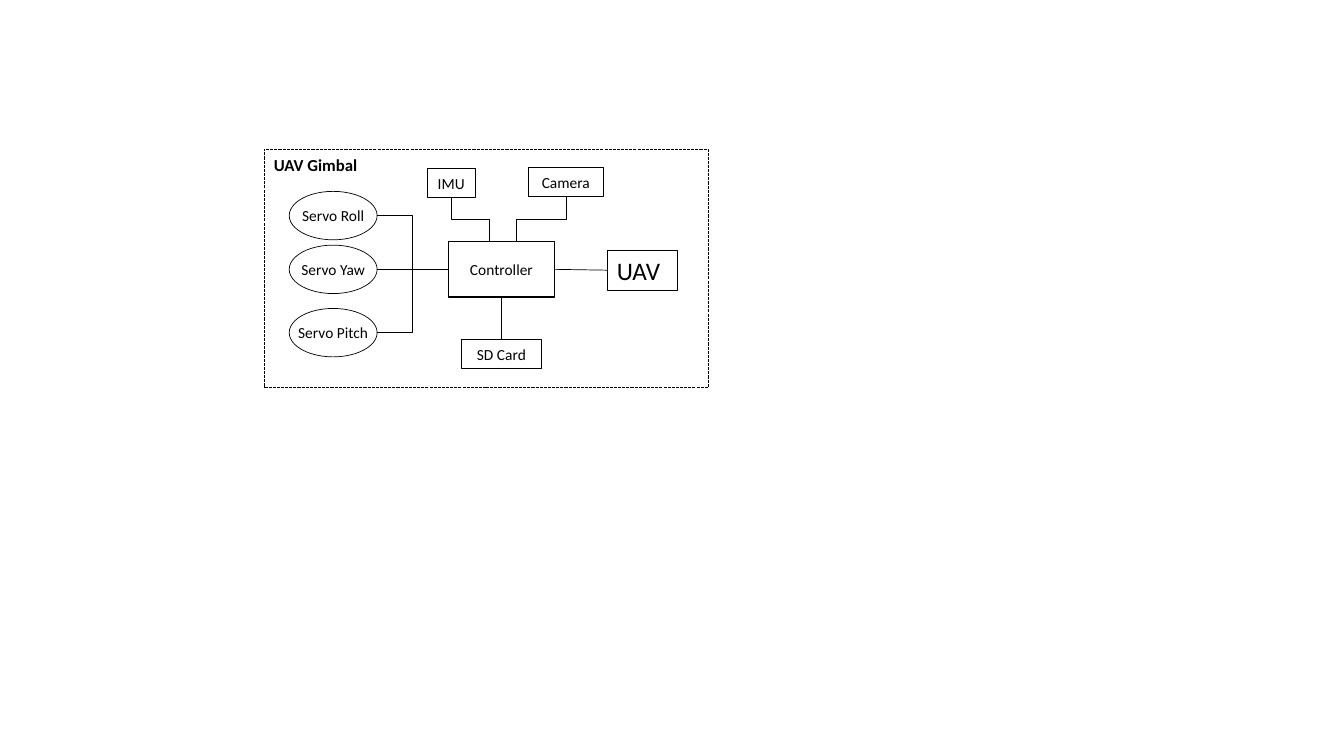
from lxml import etree
from pptx import Presentation
from pptx.dml.color import RGBColor
from pptx.enum.dml import MSO_LINE
from pptx.enum.shapes import MSO_CONNECTOR, MSO_SHAPE
from pptx.enum.text import MSO_ANCHOR, PP_ALIGN
from pptx.oxml.ns import qn
from pptx.util import Pt

BLACK = RGBColor(0, 0, 0)
FONT = "Calibri"


def write(shape, text, size=11, bold=False, align=PP_ALIGN.CENTER,
          anchor=MSO_ANCHOR.MIDDLE, side=0, wrap=False):
    """Put formatted text into a shape."""
    frame = shape.text_frame
    frame.word_wrap = wrap
    frame.vertical_anchor = anchor
    frame.margin_left = frame.margin_right = Pt(side)
    frame.margin_top = frame.margin_bottom = Pt(3.6)
    para = frame.paragraphs[0]
    para.alignment = align
    run = para.add_run()
    run.text = text
    run.font.name = FONT
    run.font.size = Pt(size)
    run.font.bold = bold
    run.font.color.rgb = BLACK


class Sketch:
    """Draw block diagram parts on one slide, in points."""

    def __init__(self, slide, color=BLACK, weight=0.5):
        self.shapes = slide.shapes
        self.color = color
        self.weight = weight

    def block(self, text, left, top, width, height, kind=MSO_SHAPE.RECTANGLE,
              weight=None, dash=None, **style):
        """Add an outlined shape with its label."""
        shape = self.shapes.add_shape(
            kind, Pt(left), Pt(top), Pt(width), Pt(height))
        shape.shadow.inherit = False
        shape.fill.background()
        shape.line.color.rgb = self.color
        shape.line.width = Pt(weight or self.weight)
        if dash:
            shape.line.dash_style = dash
        write(shape, text, **style)
        return shape

    def wire(self, x1, y1, x2, y2, kind=MSO_CONNECTOR.STRAIGHT):
        """Add a connector between two points."""
        line = self.shapes.add_connector(kind, Pt(x1), Pt(y1), Pt(x2), Pt(y2))
        line.line.color.rgb = self.color
        line.line.width = Pt(self.weight)
        etree.SubElement(line._element.spPr, qn("a:effectLst"))
        return line

    def drop(self, x1, y1, x2, y2):
        """Add an elbow that leaves downwards, as a quarter turn."""
        midx, midy = (x1 + x2) / 2, (y1 + y2) / 2
        run, rise = (y2 - y1) / 2, (x2 - x1) / 2
        line = self.wire(midx - run, midy + rise, midx + run, midy - rise,
                         MSO_CONNECTOR.ELBOW)
        line._element.spPr.find(qn("a:xfrm")).set("rot", "5400000")


def main():
    """Build the gimbal diagram."""
    deck = Presentation()
    deck.slide_width, deck.slide_height = Pt(960), Pt(540)
    art = Sketch(deck.slides.add_slide(deck.slide_layouts[6]))

    art.block("UAV Gimbal", 188.6, 106.6, 317.5, 170, weight=0.75,
              dash=MSO_LINE.SQUARE_DOT, size=12, bold=True, side=7.2,
              align=PP_ALIGN.LEFT, anchor=MSO_ANCHOR.TOP, wrap=True)
    hub = art.block("Controller", 320.4, 172.6, 75.6, 39.6, weight=1)
    left, mid, right = 320.4, 192.4, 396
    uav = art.block("UAV", 433.6, 178.6, 50.4, 28.8, size=18, side=7.2,
                    align=PP_ALIGN.LEFT, anchor=MSO_ANCHOR.TOP)
    card = art.block("SD Card", 329.4, 242.4, 57.6, 21)

    for text, x, y, width, port in (("IMU", 305, 120.2, 34.6, 349.6),
                                    ("Camera", 377.3, 119.5, 53.8, 368.9)):
        art.block(text, x, y, width, 21)
        art.drop(x + width / 2, y + 21, port, 172.6)

    for name, y in (("Roll", 154), ("Yaw", mid), ("Pitch", 237.6)):
        art.block(f"Servo {name}", 206.6, y - 17.3, 62.8, 34.6,
                  kind=MSO_SHAPE.OVAL)
        if y == mid:
            art.wire(269.4, y, left, mid).end_connect(hub, 1)
        else:
            art.wire(269.4, y, left, mid, MSO_CONNECTOR.ELBOW)

    for part, start, finish, x, y in ((uav, 3, 1, right, mid),
                                      (card, 2, 0, 358.2, 212.2)):
        line = art.wire(x, y, x, y)
        line.begin_connect(hub, start)
        line.end_connect(part, finish)

    deck.save("out.pptx")


if __name__ == "__main__":
    main()
